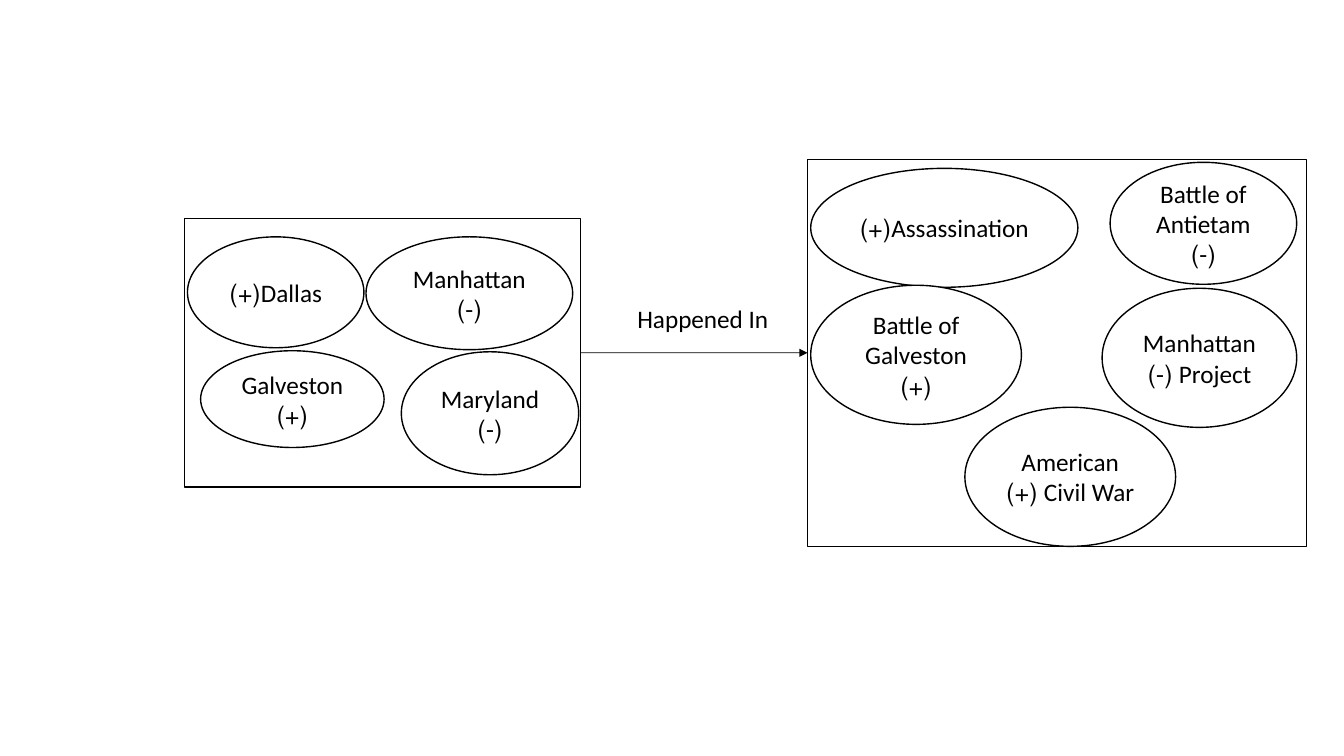
from lxml import etree
from pptx import Presentation
from pptx import util as u
from pptx.dml.color import RGBColor
from pptx.enum import shapes, text
from pptx.oxml import ns

BLACK = RGBColor(0x00, 0x00, 0x00)
WHITE = RGBColor(0xFF, 0xFF, 0xFF)
WIDTH, HEIGHT = u.Inches(13.33), u.Inches(7.5)
RIGHT_SITE, LEFT_SITE = 3, 1

# Frames and ovals: left, top, width, height in percent of the slide's size.
PLACES_FRAME = (13.73, 28.93, 29.48, 35.47)
PLACES = [
    ("Dallas(+)", (13.95, 31.33, 13.13, 14.67)),
    ("Galveston (+)", (14.93, 46.4, 13.65, 12.8)),
    ("Manhattan (-)", (27.23, 31.33, 15.38, 14.93)),
    ("Maryland(-)", (29.86, 46.53, 13.2, 16.27)),
]
EVENTS_FRAME = (60.09, 21.07, 37.13, 51.2)
EVENTS = [
    ("Assassination(+)", (60.32, 22.27, 19.88, 15.73)),
    ("Battle of Galveston (+)", (60.32, 37.73, 15.68, 18.4)),
    ("Battle of Antietam (-)", (82.6, 21.47, 13.88, 16.13)),
    ("Manhattan Project (-)", (82, 38.13, 14.48, 18.4)),
    ("American Civil War (+)", (71.79, 53.87, 15.68, 18.4)),
]
RELATION_LABEL = (44.56, 39.47, 13.35, 5.33)


def share(area):
    """Turn percentages of the slide into lengths."""
    return [round(part * full / 100)
            for part, full in zip(area, (WIDTH, HEIGHT) * 2)]


def write(shape, words, alignment):
    """Write one right-to-left paragraph into the shape."""
    frame = shape.text_frame
    frame.word_wrap = True
    para = frame.paragraphs[0]
    para.alignment = alignment
    para._p.get_or_add_pPr().set("rtl", "1")
    span = para.add_run()
    span.text = words
    span.font.name = "Calibri"
    span.font.size = u.Pt(18)
    span.font.color.rgb = BLACK


def add_outlined(group, kind, area):
    shape = group.shapes.add_shape(kind, *share(area))
    shape.shadow.inherit = False
    shape.fill.solid()
    shape.fill.fore_color.rgb = WHITE
    shape.line.color.rgb = BLACK
    shape.line.width = u.Pt(1)
    return shape


def add_entity_set(page, area, entities):
    """Add a framed group of labelled ovals and return its frame."""
    group = page.shapes.add_group_shape()
    frame = add_outlined(group, shapes.MSO_SHAPE.RECTANGLE, area)
    for words, oval_area in entities:
        oval = add_outlined(group, shapes.MSO_SHAPE.OVAL, oval_area)
        oval.text_frame.vertical_anchor = text.MSO_ANCHOR.MIDDLE
        write(oval, words, text.PP_ALIGN.CENTER)
    return frame


def add_arrow(page, source, target):
    arrow = page.shapes.add_connector(shapes.MSO_CONNECTOR.STRAIGHT, 0, 0, 0, 0)
    arrow.begin_connect(source, RIGHT_SITE)
    arrow.end_connect(target, LEFT_SITE)
    arrow.line.color.rgb = BLACK
    arrow.line.width = u.Pt(0.5)
    etree.SubElement(arrow.line._get_or_add_ln(), ns.qn("a:tailEnd"), type="triangle")
    etree.SubElement(arrow._element.spPr, ns.qn("a:effectLst"))


def add_label(page, words, area):
    box = page.shapes.add_textbox(*share(area))
    write(box, words, text.PP_ALIGN.RIGHT)
    box.text_frame.auto_size = text.MSO_AUTO_SIZE.SHAPE_TO_FIT_TEXT


def main():
    deck = Presentation()
    deck.slide_width, deck.slide_height = WIDTH, HEIGHT
    page = deck.slides.add_slide(deck.slide_layouts.get_by_name("Blank"))
    places = add_entity_set(page, PLACES_FRAME, PLACES)
    events = add_entity_set(page, EVENTS_FRAME, EVENTS)
    add_arrow(page, places, events)
    add_label(page, "Happened In", RELATION_LABEL)
    deck.save("out.pptx")


if __name__ == "__main__":
    main()
